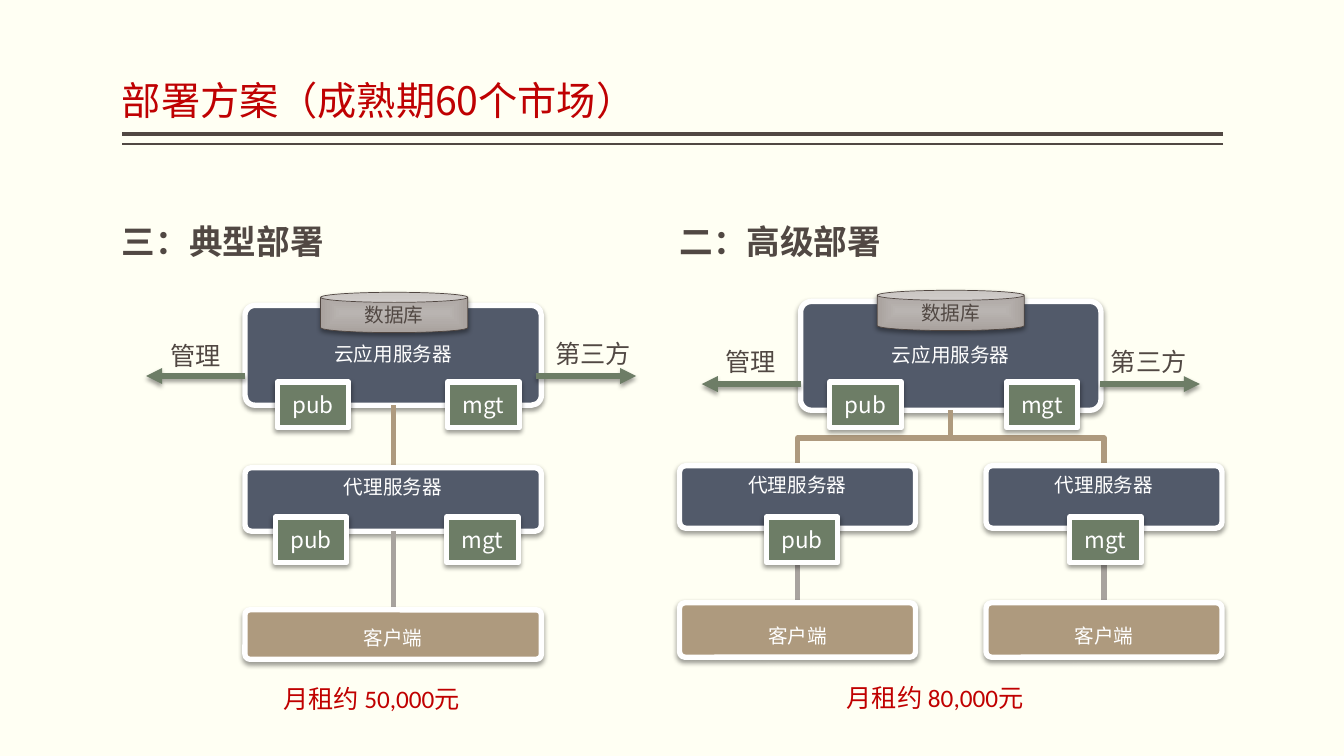
from lxml import etree
from pptx import Presentation
from pptx.dml.color import RGBColor as RGB
from pptx.enum.shapes import MSO_CONNECTOR as CONN, MSO_SHAPE as SHAPE
from pptx.enum.text import MSO_ANCHOR as ANCHOR, MSO_AUTO_SIZE as AUTO, PP_ALIGN as ALIGN
from pptx.oxml.ns import qn
from pptx.util import Inches, Pt

COLORS = {
    "paper": "FFFFF3", "ink": "514843", "title": "BF0102", "price": "C00000",
    "server": "525A6A", "client": "AE9A7E", "link": "A8A39E", "tag": "6D7D66",
    "white": "FFFFFF", "rim": "504641", "light": "B9B4B1", "dark": "A9A29E",
    "shadow": "000000",
}
SANS = "Noto Sans CJK SC"
BORDER = 3.82
LINK = 3.78


def rgb(name):
    return RGB.from_string(COLORS[name])


def apply(obj, values):
    for key, value in values.items():
        setattr(obj, key, value)


def add(parent, tag, **attrs):
    return etree.SubElement(parent, qn(tag), attrs)


class Deck:
    def __init__(self):
        self.prs = Presentation()
        apply(self.prs, {"slide_width": Inches(13.33), "slide_height": Inches(7.5)})
        self.slide = self.prs.slides.add_slide(self.prs.slide_layouts[5])
        self.shapes = self.slide.shapes
        fill = self.slide.background.fill
        fill.solid()
        fill.fore_color.rgb = rgb("paper")

    def put_text(self, s, text, size, color, font=SANS, bold=False, align=ALIGN.LEFT,
                 spacing=1.0, frame=None):
        tf = s.text_frame
        apply(tf, {"word_wrap": True, "auto_size": AUTO.NONE, **(frame or {})})
        p = tf.paragraphs[0]
        apply(p, {"alignment": align, "line_spacing": spacing})
        r = p.add_run()
        r.text = text
        apply(r.font, {"name": font, "size": Pt(size), "bold": bold})
        r.font.color.rgb = rgb(color)
        add(r.font._element, "a:ea", typeface=SANS)

    def heading(self, s, text, size, color, bold=False):
        frame = {"vertical_anchor": ANCHOR.BOTTOM, "margin_left": 0, "margin_right": 0}
        self.put_text(s, text, size, color, bold=bold, spacing=0.9, frame=frame)

    def title(self, text, x, y, w, h):
        s = self.shapes.title
        apply(s, {"left": Inches(x), "top": Inches(y), "width": Inches(w), "height": Inches(h)})
        self.heading(s, text, 28, "title")

    def textbox(self, x, y, w, h):
        return self.shapes.add_textbox(Inches(x), Inches(y), Inches(w), Inches(h))

    def label(self, text, x, y, w, color="ink", font=SANS):
        frame = {"word_wrap": False, "auto_size": AUTO.SHAPE_TO_FIT_TEXT}
        self.put_text(self.textbox(x, y, w, 0.4), text, 18, color, font, frame=frame)

    def shadow(self, s, blur):
        effects = s.element.spPr.find(qn("a:effectLst"))
        if effects is None:
            effects = add(s.element.spPr, "a:effectLst")
        if blur:
            outer = add(effects, "a:outerShdw", blurRad=str(Pt(blur)), dist=str(Pt(2)),
                        dir="5400000", algn="ctr", rotWithShape="0")
            add(add(outer, "a:srgbClr", val=COLORS["shadow"]), "a:alpha", val="38000")

    def stroke(self, s, color, width):
        s.line.color.rgb = rgb(color)
        s.line.width = Pt(width)

    def shape(self, kind, x, y, w, h, color, line="white", width=BORDER):
        s = self.shapes.add_shape(kind, Inches(x), Inches(y), Inches(w), Inches(h))
        if color:
            s.fill.solid()
            s.fill.fore_color.rgb = rgb(color)
        self.stroke(s, line, width)
        s.shadow.inherit = False
        self.shadow(s, 3.5)
        return s

    def box(self, text, x, y, w, h, color, anchor):
        s = self.shape(SHAPE.ROUNDED_RECTANGLE, x, y, w, h, color)
        s.adjustments[0] = 0.1
        sides = ("left", "right", "top", "bottom")
        frame = {f"margin_{side}": Inches(0.08) for side in sides}
        self.put_text(s, text, 14, "white", align=ALIGN.CENTER, spacing=0.9,
                      frame={**frame, "vertical_anchor": anchor})

    def tag(self, text, x, y):
        s = self.shape(SHAPE.RECTANGLE, x, y, 0.71, 0.45, "tag")
        self.put_text(s, text, 16, "white", align=ALIGN.CENTER,
                      frame={"vertical_anchor": ANCHOR.MIDDLE})

    def database(self, text, x, y):
        s = self.shape(SHAPE.CAN, x, y, 1.46, 0.4, None, "rim", 0.5)
        s.fill.gradient()
        for stop, color, position in zip(s.fill.gradient_stops, ("light", "dark"), (0, 1)):
            stop.color.rgb = rgb(color)
            stop.position = position
        grad = s.element.spPr.find(qn("a:gradFill"))
        grad.remove(grad.find(qn("a:lin")))
        center = {side: "50000" for side in "ltrb"}
        add(add(grad, "a:path", path="rect"), "a:fillToRect", **center)
        self.put_text(s, text, 14, "ink", align=ALIGN.CENTER,
                      frame={"vertical_anchor": ANCHOR.MIDDLE})

    def line(self, x1, y1, x2, y2, color, width, arrow=False):
        s = self.shapes.add_connector(CONN.STRAIGHT, Inches(x1), Inches(y1), Inches(x2), Inches(y2))
        self.stroke(s, color, width)
        if arrow:
            add(s.element.spPr.find(qn("a:ln")), "a:tailEnd", type="triangle")
        self.shadow(s, 3.1 if arrow else 0)

    def elbow(self, x1, y1, x2, y2, color):
        mid = (y1 + y2) / 2
        points = [(Inches(x), Inches(y)) for x, y in ((x1, mid), (x2, mid), (x2, y2))]
        builder = self.shapes.build_freeform(Inches(x1), Inches(y1))
        builder.add_line_segments(points, close=False)
        s = builder.convert_to_shape()
        s.fill.background()
        self.stroke(s, color, LINK)
        s.shadow.inherit = False

    def deployment(self, name, name_x, cloud, agents, agent_row, client_row,
                   arrow_y, exits, labels, database, tags, price):
        self.heading(self.textbox(name_x, 1.75, 5.38, 0.9), name, 24, "ink", bold=True)
        self.label(*price, 2.14, "price", "Calibri")
        x, y, w, h = cloud
        self.box("云应用服务器", *cloud, "server", ANCHOR.MIDDLE)
        center, bottom = x + w / 2, y + h
        agent_y, agent_h = agent_row
        client_y, client_h = client_row
        for agent_x, agent_w in agents:
            middle = agent_x + agent_w / 2
            if abs(middle - center) < 0.01:
                self.line(center, bottom, middle, agent_y, "client", LINK)
            else:
                self.elbow(center, bottom, middle, agent_y, "client")
            self.box("代理服务器", agent_x, agent_y, agent_w, agent_h, "server", ANCHOR.TOP)
            self.line(middle, agent_y + agent_h, middle, client_y, "link", LINK)
            self.box("客户端", agent_x, client_y, agent_w, client_h, "client", ANCHOR.BOTTOM)
        for start, step in zip(exits, (-0.98, 0.99)):
            self.line(start, arrow_y, start + step, arrow_y, "tag", BORDER, arrow=True)
        for text, place, width in zip(("管理", "第三方"), labels, (0.71, 0.96)):
            self.label(text, *place, width)
        self.database("数据库", *database)
        for tag_y, places in zip((3.79, 5.13), tags):
            for text, tag_x in zip(("pub", "mgt"), places):
                self.tag(text, tag_x, tag_y)


def main():
    deck = Deck()
    for y, width in ((1.33, 3), (1.43, 1)):
        deck.line(12.13, y, 1.21, y, "ink", width)
    deck.title("部署方案（成熟期60个市场）", 1.21, 0.08, 10.92, 1.2)
    deck.deployment(
        "三：典型部署", 1.21, cloud=(2.43, 3.03, 2.94, 0.99), agents=[(2.43, 2.94)],
        agent_row=(4.64, 0.63), client_row=(6.05, 0.49), arrow_y=3.73, exits=(2.43, 5.32),
        labels=((1.59, 3.33), (5.41, 3.31)), database=(3.18, 2.9),
        tags=((2.75, 4.44), (2.73, 4.43)), price=("月租约 50,000元", 2.71, 6.73))
    deck.deployment(
        "二：高级部署", 6.74, cloud=(7.94, 2.99, 2.98, 1.08), agents=[(6.74, 2.34), (9.78, 2.34)],
        agent_row=(4.62, 0.62), client_row=(5.98, 0.54), arrow_y=3.81, exits=(7.94, 10.91),
        labels=((7.1, 3.39), (10.92, 3.39)), database=(8.7, 2.88),
        tags=((8.23, 9.98), (7.6, 10.61)), price=("月租约 80,000元", 8.3, 6.72))
    deck.prs.save("out.pptx")


if __name__ == "__main__":
    main()
